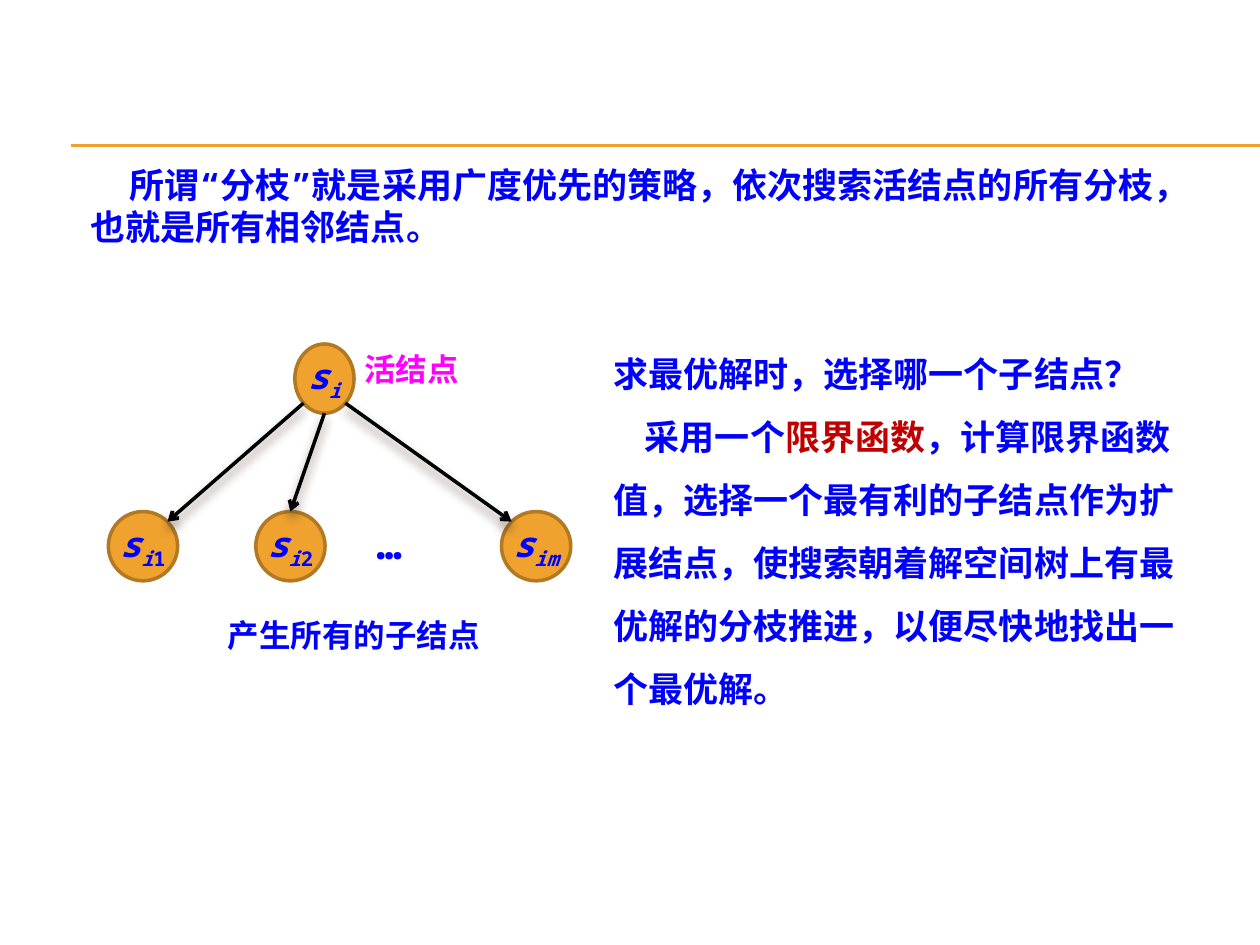
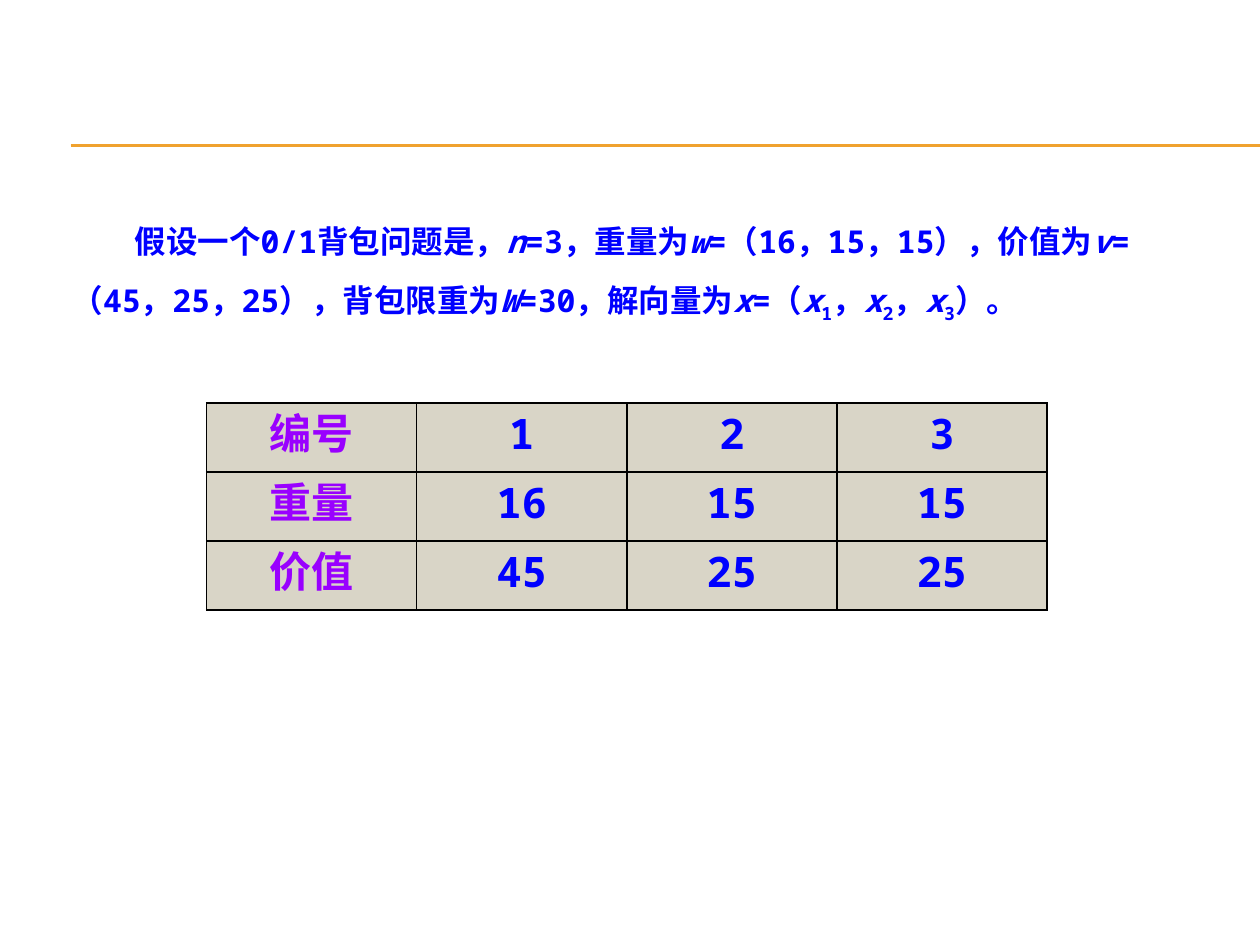
from math import cos, radians, sin

from lxml.etree import SubElement
from pptx import Presentation
from pptx.dml.color import RGBColor
from pptx.enum.shapes import MSO_CONNECTOR as Connector, MSO_SHAPE as Shape
from pptx.enum.text import MSO_ANCHOR as Anchor, PP_ALIGN as Align
from pptx.oxml.ns import qn
from pptx.util import Inches, Pt

FONT = "Noto Sans Mono"
BLUE = RGBColor(0x00, 0x00, 0xFF)
RED = RGBColor(0xC0, 0x00, 0x00)
MAGENTA = RGBColor(0xFF, 0x00, 0xFF)
PURPLE = RGBColor(0x99, 0x00, 0xFF)
ORANGE = RGBColor(0xF0, 0xA2, 0x2E)
BROWN = RGBColor(0xB2, 0x78, 0x22)
BEIGE = RGBColor(0xD9, 0xD5, 0xC7)
BLACK = RGBColor(0x00, 0x00, 0x00)
SHADOW = "4E3B30"

ITALIC = {"italic": True}
SUB = {"sub": True}


def add_run(paragraph, text, size=20, color=BLUE, italic=False, sub=False):
    """Append one bold run in the deck font."""
    run = paragraph.add_run()
    run.text = text
    font = run.font
    font.size, font.bold, font.italic = Pt(size), True, italic
    font.color.rgb = color
    font.name = FONT
    properties = run._r.get_or_add_rPr()
    SubElement(properties, qn("a:ea")).set("typeface", FONT)
    if sub:
        properties.set("baseline", "-25000")


def write(paragraph, runs, align=Align.LEFT, spacing=None, indent=0, **base):
    """Fill a paragraph from (text, format) pairs that share a base format."""
    paragraph.alignment = align
    if spacing:
        paragraph.line_spacing = spacing
    if indent:
        properties = paragraph._p.get_or_add_pPr()
        properties.set("marL", "0")
        properties.set("indent", str(Inches(indent)))
    for text, own in runs:
        add_run(paragraph, text, **{**base, **own})


def text_box(shapes, box, inset=0.1):
    """Add a wrapping text box and return its text frame."""
    frame = shapes.add_textbox(*map(Inches, box)).text_frame
    frame.word_wrap = True
    frame.margin_left = frame.margin_right = Inches(inset)
    return frame


def add_line(shapes, start, end, color, width):
    """Add a straight line without a theme effect; return its properties."""
    line = shapes.add_connector(Connector.STRAIGHT, *map(Inches, start + end))
    line.line.color.rgb = color
    line.line.width = Pt(width)
    effects = SubElement(line._element.spPr, qn("a:effectLst"))
    return line, effects


def add_arrow(shapes, start, end):
    """Add a black arrow with a soft shadow below it."""
    arrow, effects = add_line(shapes, start, end, BLACK, 2)
    SubElement(arrow.line._get_or_add_ln(), qn("a:tailEnd")).set("type", "arrow")
    shadow = SubElement(effects, qn("a:outerShdw"), blurRad=str(Pt(6)),
                        dist=str(Pt(4)), dir="5400000", rotWithShape="0")
    tint = SubElement(shadow, qn("a:srgbClr"), val=SHADOW)
    SubElement(tint, qn("a:alpha"), val="60000")


def rim(box, angle):
    """Return the point of an ellipse's rim at an angle, clockwise from right."""
    left, top, width, height = box
    turn = radians(angle)
    return (left + width / 2 * (1 + cos(turn)),
            top + height / 2 * (1 + sin(turn)))


def add_node(shapes, box, subscripts):
    """Add a tree node labelled s with its subscripts."""
    node = shapes.add_shape(Shape.OVAL, *map(Inches, box))
    node.shadow.inherit = False
    node.fill.solid()
    node.fill.fore_color.rgb = ORANGE
    node.line.color.rgb = BROWN
    node.line.width = Pt(2)
    frame = node.text_frame
    frame.word_wrap = True
    frame.vertical_anchor = Anchor.MIDDLE
    frame.margin_left = frame.margin_right = 0
    write(frame.paragraphs[0], [("s", ITALIC)] + subscripts, Align.CENTER)


def branch_tree(slide, left, top):
    """Draw the live node, its children and their captions."""
    shapes = slide.shapes.add_group_shape().shapes
    size, child_top = 0.55, top + 1.33
    root = (left + 1.48, top, 0.47, size)
    sub_i = ("i", {**ITALIC, **SUB})
    children = [  # offset, subscripts, rim angle at the root and at the child
        (0, [sub_i, ("1", SUB)], 135, 315),
        (1.17, [sub_i, ("2", SUB)], 90, 270),
        (3.12, [("im", {**ITALIC, **SUB})], 45, 225),
    ]
    add_node(shapes, root, [sub_i])
    for offset, subscripts, _, _ in children:
        add_node(shapes, (left + offset, child_top, size, size), subscripts)

    ellipsis = text_box(shapes, (left + 2.03, child_top, 0.78, 0.5))
    write(ellipsis.paragraphs[0], [("…", {})], size=24)

    for offset, _, leave, arrive in children:
        child = (left + offset, child_top, size, size)
        add_arrow(shapes, rim(root, leave), rim(child, arrive))

    live = text_box(shapes, (left + 2.03, top, 1.02, 0.4), inset=0)
    write(live.paragraphs[0], [("活结点", {})], size=18, color=MAGENTA)
    caption = text_box(shapes, (left + 0.62, top + 2.11, 2.66, 0.4), inset=0)
    write(caption.paragraphs[0], [("产生所有的子结点", {})], Align.CENTER, size=18)


def data_table(slide, box, rows):
    """Add the bordered table; the first column holds the row names."""
    table = slide.shapes.add_table(len(rows), len(rows[0]),
                                   *map(Inches, box)).table
    table.first_row = table.horz_banding = False
    for row, values in zip(table.rows, rows):
        for column, (cell, value) in enumerate(zip(row.cells, values)):
            write(cell.text_frame.paragraphs[0], [(value, {})], Align.CENTER,
                  Pt(30), size=24, color=BLUE if column else PURPLE)
            properties = cell._tc.get_or_add_tcPr()
            for side in ("lnL", "lnR", "lnT", "lnB"):
                border = SubElement(properties, qn(f"a:{side}"), w=str(Pt(1)))
                fill = SubElement(border, qn("a:solidFill"))
                SubElement(fill, qn("a:srgbClr"), val=str(BLACK))
            cell.fill.solid()
            cell.fill.fore_color.rgb = BEIGE


def new_slide(deck):
    """Add a blank slide with the shared double rule."""
    slide = deck.slides.add_slide(deck.slide_layouts[6])
    for y in (1.15, 1.16):
        add_line(slide.shapes, (0.56, y), (10, y), ORANGE, 0.75)
    return slide


def branching_slide(deck):
    """Explain branching and the bounding function."""
    slide = new_slide(deck)
    intro = text_box(slide.shapes, (0.62, 1.25, 8.75, 0.77))
    write(intro.paragraphs[0], [(
        "所谓“分枝”就是采用广度优先的策略，依次搜索活结点的所有分枝，"
        "也就是所有相邻结点。", {})], indent=0.31)

    choice = text_box(slide.shapes, (4.77, 2.58, 4.84, 3.13))
    write(choice.paragraphs[0],
          [("求最优解时，选择哪一个子结点？", {})], spacing=1.5)
    write(choice.add_paragraph(), [
        ("采用一个", {}),
        ("限界函数", {"color": RED}),
        ("，计算限界函数值，选择一个最有利的子结点作为扩展结点，"
         "使搜索朝着解空间树上有最优解的分枝推进，"
         "以便尽快地找出一个最优解。", {}),
    ], spacing=1.5, indent=0.25)
    branch_tree(slide, 0.86, 2.73)


def knapsack_slide(deck):
    """State the knapsack example and list its data."""
    slide = new_slide(deck)
    problem = text_box(slide.shapes, (0.47, 1.56, 9.21, 0.96))
    runs = [
        ("假设一个0/1背包问题是，", {}),
        ("n", ITALIC), ("=3，重量为", {}),
        ("w", ITALIC), ("=（16，15，15），价值为", {}),
        ("v", ITALIC), ("=（45，25，25），背包限重为", {}),
        ("W", ITALIC), ("=30，解向量为", {}),
        ("x", ITALIC), ("=（", {}),
    ]
    for index, mark in (("1", "，"), ("2", "，"), ("3", "）。")):
        runs += [("x", ITALIC), (index, SUB), (mark, {})]
    write(problem.paragraphs[0], runs, spacing=1.5, indent=0.5, size=18)

    data_table(slide, (1.64, 3.2, 6.67, 1.64), [
        ("编号", "1", "2", "3"),
        ("重量", "16", "15", "15"),
        ("价值", "45", "25", "25"),
    ])


deck = Presentation()
deck.slide_width, deck.slide_height = Inches(10), Inches(7.5)
branching_slide(deck)
knapsack_slide(deck)
deck.save("out.pptx")
